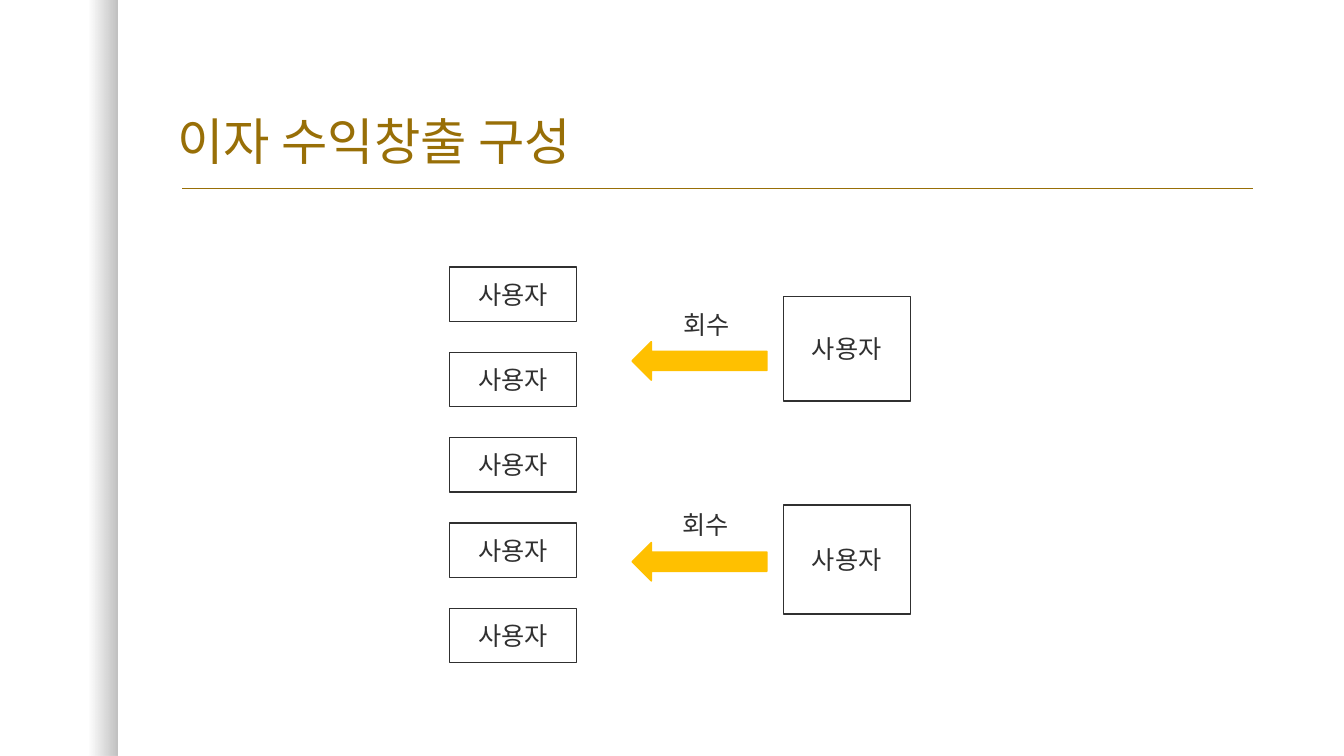
from dataclasses import dataclass

import pptx
import pptx.dml.color
import pptx.enum.shapes
import pptx.enum.text
import pptx.oxml
import pptx.oxml.ns
import pptx.util
from pptx.util import Cm

SHAPE = pptx.enum.shapes.MSO_SHAPE
ALIGN = pptx.enum.text.PP_ALIGN
ANCHOR = pptx.enum.text.MSO_ANCHOR
NS = pptx.oxml.ns.nsdecls("a")
KOREAN_FONT = "Noto Sans CJK KR"
COLORS = {
    "gold": "986F07",
    "ink": "303030",
    "white": "FFFFFF",
    "arrow": "FFC000",
    "shade": "000000",
}


@dataclass
class Block:
    kind: int
    left: float
    top: float
    width: float
    height: float
    fill: str
    line: str
    text: str = ""


@dataclass
class Label:
    left: float
    top: float
    text: str = "회수"


def rgb(name: str) -> pptx.dml.color.RGBColor:
    return pptx.dml.color.RGBColor.from_string(COLORS[name])


def set_text(sp, text: str, *, size: float = 18, font: str = "Arial",
             color: str = "ink", align=ALIGN.LEFT, anchor=ANCHOR.TOP,
             spacing: float = 1.0, wrap: bool = True) -> None:
    tf = sp.text_frame
    tf.word_wrap = wrap
    tf.auto_size = pptx.enum.text.MSO_AUTO_SIZE.NONE
    tf.vertical_anchor = anchor
    p = tf.paragraphs[0]
    p.alignment = align
    p.line_spacing = spacing
    r = p.add_run()
    r.text = text
    r.font.size = pptx.util.Pt(size)
    r.font.name = font
    r.font.color.rgb = rgb(color)
    r.font._element.append(
        pptx.oxml.parse_xml(f'<a:ea {NS} typeface="{KOREAN_FONT}"/>'))


def add_block(s, block: Block) -> None:
    sp = s.shapes.add_shape(block.kind, Cm(block.left), Cm(block.top),
                            Cm(block.width), Cm(block.height))
    sp.shadow.inherit = False
    sp.fill.solid()
    sp.fill.fore_color.rgb = rgb(block.fill)
    sp.line.color.rgb = rgb(block.line)
    sp.line.width = pptx.util.Pt(1)
    if block.text:
        set_text(sp, block.text, align=ALIGN.CENTER, anchor=ANCHOR.MIDDLE)


def add_label(s, label: Label) -> None:
    sp = s.shapes.add_textbox(Cm(label.left), Cm(label.top), Cm(1.8), Cm(1.02))
    set_text(sp, label.text, font="Cambria", wrap=False)


def add_side_shade(s) -> None:
    sp = s.shapes.add_shape(SHAPE.RECTANGLE, 0, 0, Cm(2.95), Cm(19.05))
    sp.shadow.inherit = False
    sp.line.fill.background()
    sp.fill.gradient()
    sp.fill.gradient_angle = 0
    for stop, position, alpha in zip(sp.fill.gradient_stops, (0.75, 1), (0, 25)):
        stop.position = position
        stop.color.rgb = rgb("shade")
        color = stop._gs.find(pptx.oxml.ns.qn("a:srgbClr"))
        color.append(pptx.oxml.parse_xml(f'<a:alpha {NS} val="{alpha * 1000}"/>'))


def add_title_rule(s) -> None:
    line = s.shapes.add_connector(pptx.enum.shapes.MSO_CONNECTOR.STRAIGHT,
                                  Cm(4.6), Cm(4.75), Cm(31.57), Cm(4.75))
    line.line.color.rgb = rgb("gold")
    line.line.width = pptx.util.Pt(1)
    line._element.spPr.append(pptx.oxml.parse_xml(f"<a:effectLst {NS}/>"))


def user_box(left: float, top: float, height: float) -> Block:
    return Block(SHAPE.RECTANGLE, left, top, 3.2, height, "white", "ink", "사용자")


def collect_arrow(top: float) -> Block:
    return Block(SHAPE.LEFT_ARROW, 15.93, top, 3.4, 0.97, "arrow", "arrow")


def main() -> None:
    prs = pptx.Presentation()
    prs.slide_width, prs.slide_height = Cm(33.87), Cm(19.05)
    s = prs.slides.add_slide(prs.slide_layouts[5])

    # Side shade and title with its rule
    add_side_shade(s)
    add_title_rule(s)
    title = s.shapes.title
    title.left, title.top = Cm(4.22), Cm(1.07)
    title.width, title.height = Cm(27.3), Cm(3.38)
    set_text(title, "이자 수익창출 구성", size=36, font=KOREAN_FONT,
             color="gold", anchor=ANCHOR.BOTTOM, spacing=0.9)

    # Users on the right, arrows, and the column of users on the left
    blocks = [user_box(19.74, 7.47, 2.64), collect_arrow(8.61),
              user_box(19.74, 12.73, 2.74), collect_arrow(13.67)]
    blocks += [user_box(11.33, 6.73 + 2.15 * i, 1.37) for i in range(5)]
    for block in blocks:
        add_block(s, block)

    # Arrow labels
    for label in (Label(16.97, 7.67), Label(16.94, 12.7)):
        add_label(s, label)

    prs.save("out.pptx")


if __name__ == "__main__":
    main()
